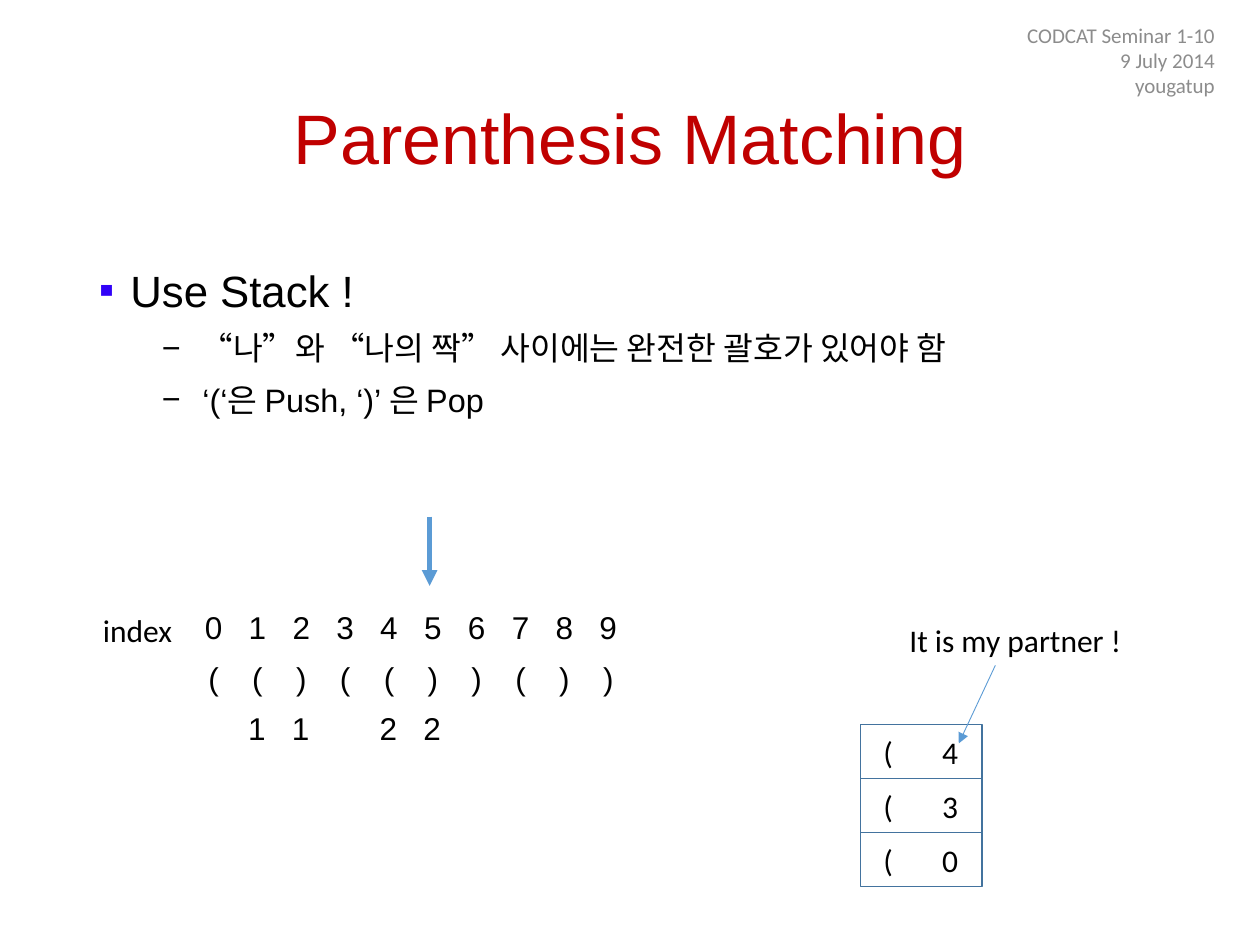
from lxml import etree
from pptx import Presentation
from pptx.dml.color import RGBColor
from pptx.enum import shapes, text
from pptx.oxml import ns
from pptx.util import Pt

RED = RGBColor(0xC0, 0x00, 0x00)
BLACK = RGBColor(0x00, 0x00, 0x00)
WHITE = RGBColor(0xFF, 0xFF, 0xFF)
GRAY = RGBColor(0x8C, 0x8C, 0x8C)
VIOLET = RGBColor(0x31, 0x02, 0xF8)
BLUE = RGBColor(0x5B, 0x9B, 0xD5)
DARK_BLUE = RGBColor(0x43, 0x73, 0x9E)

LEFT, CENTER, RIGHT = text.PP_ALIGN.LEFT, text.PP_ALIGN.CENTER, text.PP_ALIGN.RIGHT
TOP, MIDDLE = text.MSO_ANCHOR.TOP, text.MSO_ANCHOR.MIDDLE

INDEX_ROWS = ["0123456789", "(()(())())", " 11 22    "]
STACK = ["4", "3", "0"]
CELL_W, CELL_H = 69.4, 30.9


def set_format(target, values):
    for name, value in values.items():
        setattr(target, name, value)


def write(paragraph, words, size, face="Arial", color=BLACK, **paragraph_format):
    run = paragraph.add_run()
    run.text = words
    set_format(run.font, {"size": Pt(size), "name": face})
    run.font.color.rgb = color
    set_format(paragraph, paragraph_format)


def add_child(parent, tag, **attributes):
    return etree.SubElement(parent, ns.qn(tag), attributes)


def add_bullet(paragraph, mark, color, margin, hang):
    props = paragraph._p.get_or_add_pPr()
    props.set("marL", str(Pt(margin)))
    props.set("indent", str(-Pt(hang)))
    add_child(add_child(props, "a:buClr"), "a:srgbClr", val=str(color))
    add_child(props, "a:buFont", typeface="Arial")
    add_child(props, "a:buChar", char=mark)


def add_text_frame(slide, left, top, width, height, anchor=TOP):
    frame = slide.shapes.add_textbox(Pt(left), Pt(top), Pt(width), Pt(height)).text_frame
    set_format(frame, {"word_wrap": True, "vertical_anchor": anchor})
    return frame


def add_label(slide, words, left, top, width):
    """One unwrapped line whose box fits its text."""
    frame = add_text_frame(slide, left, top, width, 29)
    set_format(frame, {"word_wrap": False, "auto_size": text.MSO_AUTO_SIZE.SHAPE_TO_FIT_TEXT})
    write(frame.paragraphs[0], words, 18, "Calibri")


def add_outline(slide):
    frame = add_text_frame(slide, 49.5, 144, 621, 343)
    heading = frame.paragraphs[0]
    write(heading, "Use Stack !", 25, line_spacing=1.1, space_before=Pt(10))
    add_bullet(heading, "▪", VIOLET, 18, 18)
    for words in (" “나”와 “나의 짝” 사이에는 완전한 괄호가 있어야 함",
                  " ‘(‘은 Push, ‘)’ 은 Pop"):
        point = frame.add_paragraph()
        write(point, words, 18.5, level=1, line_spacing=1.1, space_before=Pt(5))
        add_bullet(point, "−", BLACK, 54, 18)


def add_index_table(slide):
    columns = len(INDEX_ROWS[0])
    table = slide.shapes.add_table(len(INDEX_ROWS), columns, Pt(109.5), Pt(345.6),
                                   Pt(250.6), Pt(86.4)).table
    set_format(table, {"first_row": False, "horz_banding": False})
    for r, marks in enumerate(INDEX_ROWS):
        for c, mark in enumerate(marks):
            cell = table.cell(r, c)
            cell.fill.solid()
            cell.fill.fore_color.rgb = WHITE
            if mark != " ":
                write(cell.text_frame.paragraphs[0], mark, 18,
                      alignment=LEFT if r == 2 else CENTER)


def add_stack_cell(slide, index, left, top):
    """A box with a bracket on the left and its index at a tab stop."""
    box = slide.shapes.add_shape(shapes.MSO_SHAPE.RECTANGLE, Pt(left), Pt(top),
                                 Pt(CELL_W), Pt(CELL_H))
    box.shadow.inherit = False
    box.fill.background()
    box.line.color.rgb = DARK_BLUE
    box.line.width = Pt(1)
    set_format(box.text_frame, {"margin_left": Pt(13), "margin_right": 0,
                                "word_wrap": True, "vertical_anchor": MIDDLE})
    entry = box.text_frame.paragraphs[0]
    write(entry, f"(\t{index}", 18, "Calibri", alignment=LEFT)
    tabs = add_child(entry._p.get_or_add_pPr(), "a:tabLst")
    add_child(tabs, "a:tab", pos=str(Pt(33.5)), algn="l")


def add_arrow(slide, start, end, width):
    arrow = slide.shapes.add_connector(shapes.MSO_CONNECTOR.STRAIGHT,
                                       *map(Pt, start + end))
    arrow.line.color.rgb = BLUE
    arrow.line.width = Pt(width)
    add_child(arrow.line._get_or_add_ln(), "a:tailEnd", type="triangle")
    add_child(arrow._element.spPr, "a:effectLst")


def main():
    deck = Presentation()
    set_format(deck, {"slide_width": Pt(720), "slide_height": Pt(540)})
    slide = deck.slides.add_slide(deck.slide_layouts[6])

    title = add_text_frame(slide, 49.5, 28.8, 621, 104.4, MIDDLE)
    write(title.paragraphs[0], "Parenthesis Matching", 40, color=RED,
          alignment=CENTER, line_spacing=0.9)
    add_outline(slide)

    header = add_text_frame(slide, 539.3, 14.4, 162, 39.6, MIDDLE)
    for i, words in enumerate(("CODCAT Seminar 1-10", "9 July 2014", "yougatup")):
        line = header.add_paragraph() if i else header.paragraphs[0]
        write(line, words, 12, "Calibri", GRAY, alignment=RIGHT)

    add_index_table(slide)
    add_label(slide, "index", 51.8, 345.6, 54.7)
    add_arrow(slide, (245.5, 295.2), (245.5, 334.8), 3)

    for i, index in enumerate(STACK):
        add_stack_cell(slide, index, 491.8, 414 + i * CELL_H)
    add_arrow(slide, (568.8, 380.2), (547.9, 424.8), 0.5)
    add_label(slide, "It is my partner !", 512.6, 351.4, 136.8)
    deck.save("out.pptx")


if __name__ == "__main__":
    main()
